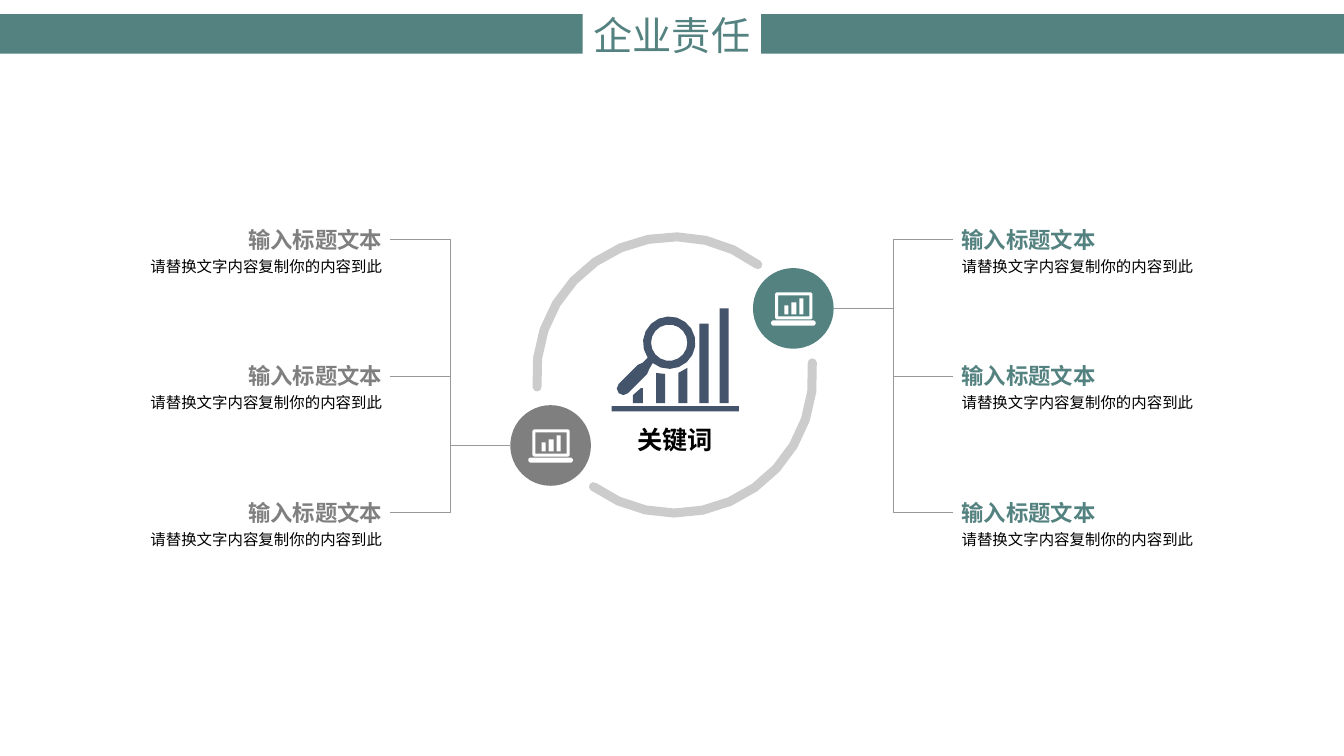
"""Build the corporate responsibility slide: a ring hub with two branches of captions."""
from math import cos, radians, sin

from lxml import etree
from pptx import Presentation
from pptx.dml.color import RGBColor
from pptx.enum.shapes import MSO_CONNECTOR, MSO_SHAPE
from pptx.enum.text import MSO_ANCHOR, MSO_AUTO_SIZE, PP_ALIGN
from pptx.oxml.ns import qn
from pptx.util import Inches, Pt

RECT, OVAL = MSO_SHAPE.RECTANGLE, MSO_SHAPE.OVAL
ELBOW = MSO_CONNECTOR.ELBOW
LEFT, CENTER, RIGHT = PP_ALIGN.LEFT, PP_ALIGN.CENTER, PP_ALIGN.RIGHT
MIDDLE, GROW, FIXED = MSO_ANCHOR.MIDDLE, MSO_AUTO_SIZE.SHAPE_TO_FIT_TEXT, MSO_AUTO_SIZE.NONE

W, H = Inches(13.33), Inches(7.5)
UNIT = Inches(0.01)
FONT = "Noto Sans CJK SC"
COLORS = {"teal": "548280", "gray": "7F7F7F", "ring": "CCCCCC", "line": "999999",
          "navy": "44546A", "black": "000000", "white": "FFFFFF"}

ROWS, ROW_TOP, ROW_STEP = 3, 29.87, 18.07
HEAD_H, BODY_H = 3.6, 6.93
TEXT_X, TEXT_W = 8.95, 20.1
BADGE_X, BADGE = 40.97, Inches(0.8)
SIDES = [("gray", RIGHT, False, 58.93), ("teal", LEFT, True, 40.8)]
PADDED = {"margin_left": Inches(0.08), "margin_right": Inches(0.08), "margin_top": 0,
          "margin_bottom": 0, "word_wrap": True, "auto_size": FIXED}
SNUG = {"word_wrap": False, "vertical_anchor": MIDDLE, "auto_size": GROW}


def px(share):
    """Convert a percentage of the slide's width to a length."""
    return round(W * share / 100)


def py(share):
    """Convert a percentage of the slide's height to a length."""
    return round(H * share / 100)


def rgb(name):
    """Look up a named colour."""
    return RGBColor.from_string(COLORS[name])


def paint(sp, color):
    """Give a shape a flat fill without outline or shadow."""
    sp.shadow.inherit = False
    sp.fill.solid()
    sp.fill.fore_color.rgb = rgb(color)
    sp.line.fill.background()


def add_block(slide, kind, box, color):
    """Add a flat preset shape."""
    paint(slide.shapes.add_shape(kind, *box), color)


def write(sp, text, size, color, align, frame, bold=False, spacing=1.0):
    """Fill a text shape with one formatted line."""
    tf = sp.text_frame
    for name, value in frame.items():
        setattr(tf, name, value)
    p = tf.paragraphs[0]
    p.alignment, p.line_spacing = align, spacing
    r = p.add_run()
    r.text = text
    for name, value in {"size": Pt(size), "bold": bold, "name": FONT}.items():
        setattr(r.font, name, value)
    r.font.color.rgb = rgb(color)
    etree.SubElement(r._r.get_or_add_rPr(), qn("a:ea")).set("typeface", FONT)


def add_text(slide, box, *args, **kwargs):
    """Add a text box with one formatted line."""
    write(slide.shapes.add_textbox(*box), *args, **kwargs)


def arc(cx, cy, radius, start, end, step=12):
    """List points along an arc between two angles in degrees."""
    n = max(1, round(abs(end - start) / step))
    angles = [radians(start + (end - start) * i / n) for i in range(n + 1)]
    return [(cx + radius * cos(a), cy + radius * sin(a)) for a in angles]


def bar(left, top, right, bottom, cut=0):
    """List the outline of a rectangle with optionally softened corners."""
    if not cut:
        return [(left, top), (right, top), (right, bottom), (left, bottom)]
    return [(left + cut, top), (right - cut, top), (right, top + cut), (right, bottom - cut),
            (right - cut, bottom), (left + cut, bottom), (left, bottom - cut), (left, top + cut)]


def band(radius, width, start, end):
    """List the outline of a round-capped arc centred on the origin."""
    half = width / 2
    a, b = radians(start), radians(end)
    tail = arc(radius * cos(b), radius * sin(b), half, end, end + 180, 45)
    head = arc(radius * cos(a), radius * sin(a), half, start + 180, start + 360, 45)
    return (arc(0, 0, radius + half, start, end) + tail[1:-1]
            + arc(0, 0, radius - half, end, start) + head[1:-1])


def add_outline(slide, contours, left, top, color):
    """Draw contours, given in units, as a single freeform."""
    paths = [[(left + x * UNIT, top + y * UNIT) for x, y in c] for c in contours]
    fb = slide.shapes.build_freeform(*paths[0][0], scale=1.0)
    for i, path in enumerate(paths):
        if i:
            fb.move_to(*path[0])
        fb.add_line_segments(path[1:], close=True)
    paint(fb.convert_to_shape(), color)


def add_branch(slide, x1, y1, x2, y2):
    """Add a thin elbow connector."""
    c = slide.shapes.add_connector(ELBOW, x1, y1, x2, y2)
    c.line.color.rgb = rgb("line")
    c.line.width = Pt(0.5)
    etree.SubElement(c._element.spPr, qn("a:effectLst"))


def add_header(slide):
    """Place the title between two bands."""
    width = px(43.36)
    for x in (0, W - width):
        add_block(slide, RECT, (x, py(1.87), width, py(5.25)), "teal")
    title = slide.shapes.title
    box = {"left": width, "top": py(0.8), "width": W - 2 * width, "height": py(7.6)}
    for name, value in box.items():
        setattr(title, name, value)
    write(title, "企业责任", 28, "teal", CENTER, SNUG)


def add_hub(slide):
    """Draw the ring, the magnifier chart and the keyword."""
    ring = [band(137, 9, -185, -53), band(137, 9, -5, 126)]
    add_outline(slide, ring, px(50.2), py(49.6), "ring")
    magnifier = (arc(57, 34, 26, 145, 489, 20) + arc(30.5, 60.5, 6.5, 0, 45, 45)
                 + arc(11.5, 79.5, 6.5, 45, 225, 45) + arc(30.5, 60.5, 6.5, 225, 270, 45))
    chart = [bar(0, 97, 126, 102), bar(87, 15, 96, 94), bar(107, 0, 116, 94),
             [(29, 79), (31, 79), (31, 94), (21, 94), (21, 86)],
             [(44, 64), (53, 65), (53, 94), (44, 94)],
             [(66, 64), (75, 59), (75, 94), (66, 94)],
             magnifier, arc(57, 34, 18, 0, 340, 20)]
    add_outline(slide, chart, px(45.52), py(40.8), "navy")
    box = px(46.65), py(55.47), px(7.2), py(5.33)
    add_text(slide, box, "关键词", 18, "black", CENTER, SNUG, bold=True)


def add_badge(slide, x, y, color):
    """Draw a round badge with a laptop, centred on a point."""
    left, top = x - BADGE // 2, y - BADGE // 2
    add_block(slide, OVAL, (left, top, BADGE, BADGE), color)
    laptop = [bar(0, 28, 44, 33, 1.5), bar(4, 0, 41, 27, 1.5), bar(7, 3, 38, 24),
              bar(13, 13, 17, 22), bar(20, 10, 25, 22), bar(28, 6, 32, 22)]
    add_outline(slide, laptop, left + 18 * UNIT, top + 24 * UNIT, "white")


def add_side(slide, color, align, mirrored, badge_y):
    """Add one badge with its captions and branches."""
    text_x = px(100 - TEXT_X - TEXT_W if mirrored else TEXT_X)
    text_edge = text_x if mirrored else text_x + px(TEXT_W)
    badge_x = px(100 - BADGE_X if mirrored else BADGE_X)
    badge_edge = badge_x + (BADGE if mirrored else -BADGE) // 2
    add_badge(slide, badge_x, py(badge_y), color)
    for row in range(ROWS):
        y = ROW_TOP + row * ROW_STEP
        add_text(slide, (text_x, py(y + HEAD_H), px(TEXT_W), py(BODY_H)),
                 "请替换文字内容复制你的内容到此", 11, "black", align, PADDED, spacing=1.2)
        add_text(slide, (text_x, py(y), px(TEXT_W), py(HEAD_H)),
                 "输入标题文本", 16, color, align, PADDED, bold=True)
        add_branch(slide, text_edge, py(y + HEAD_H / 2), badge_edge, py(badge_y))


def main():
    """Build and save the slide."""
    prs = Presentation()
    prs.slide_width, prs.slide_height = W, H
    slide = prs.slides.add_slide(prs.slide_layouts[5])
    add_header(slide)
    add_hub(slide)
    for side in SIDES:
        add_side(slide, *side)
    prs.save("out.pptx")


if __name__ == "__main__":
    main()
